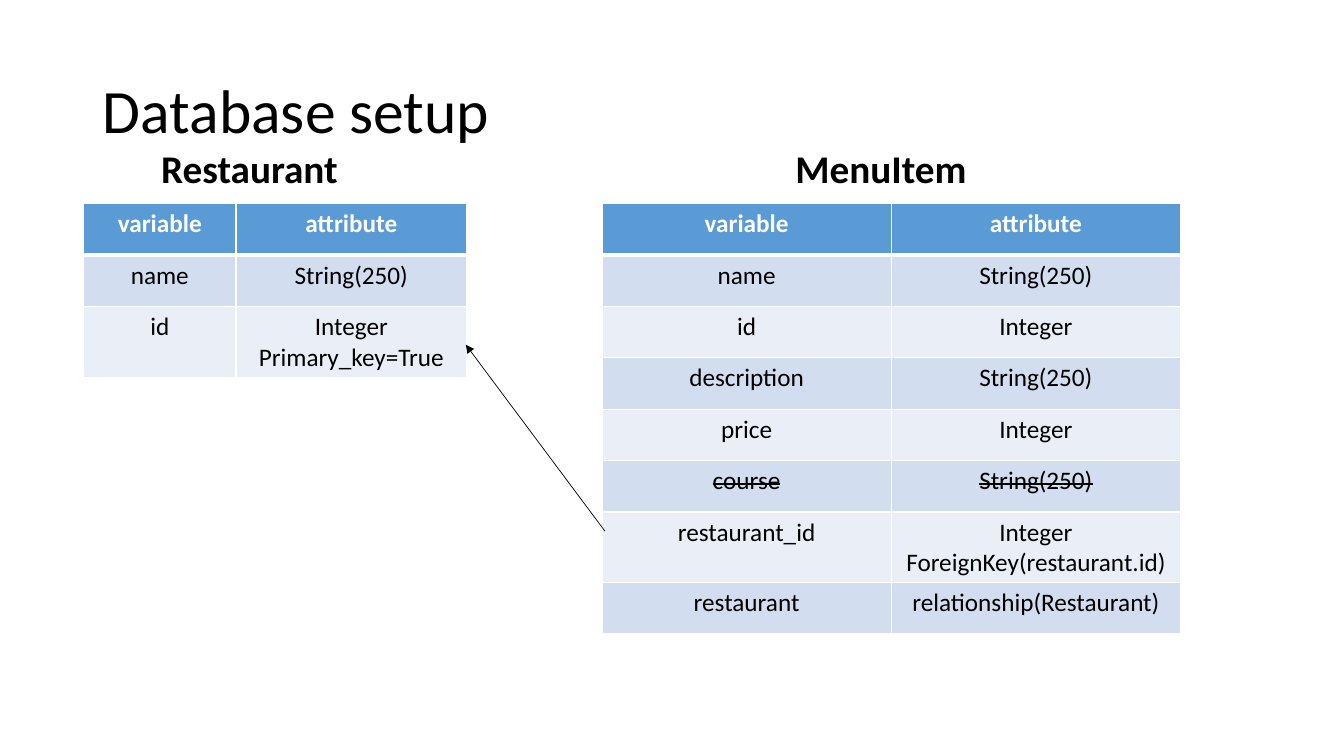
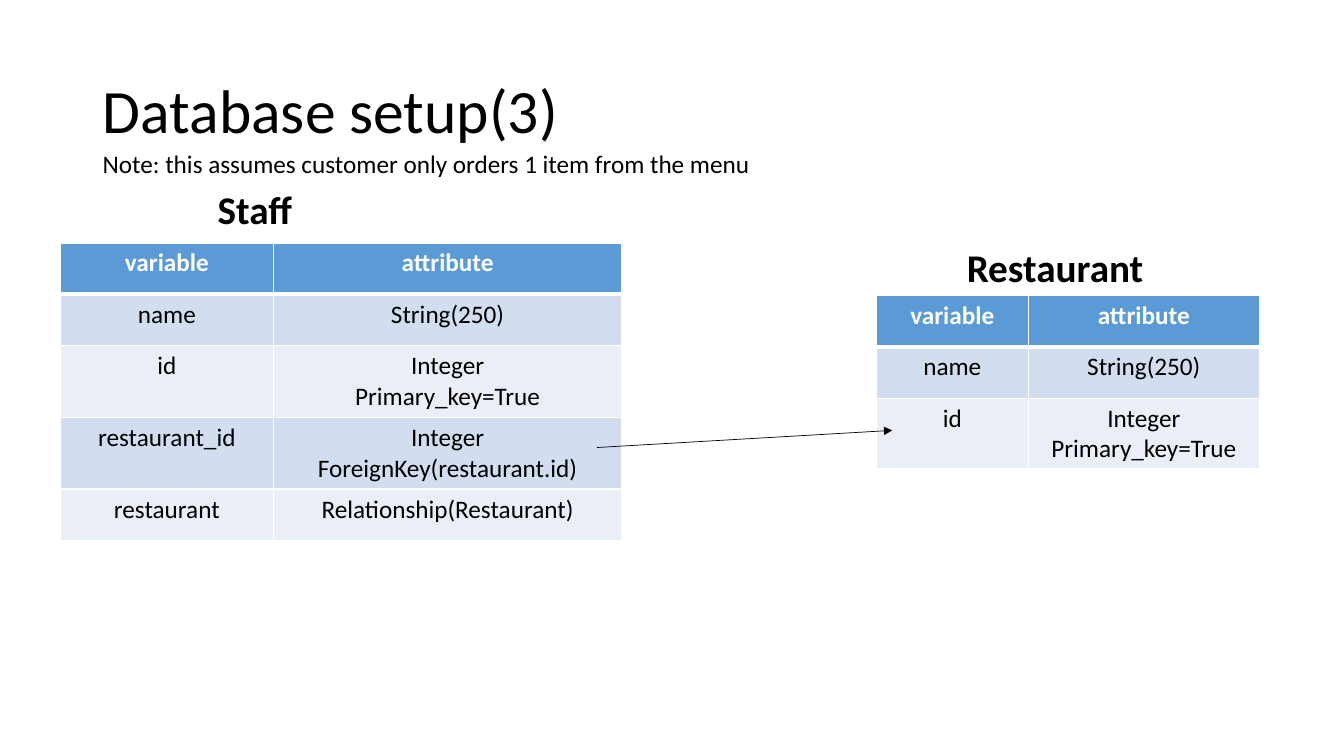
from dataclasses import dataclass
from typing import Any

from lxml import etree
from pptx import Presentation
from pptx import util as u
from pptx.dml.color import RGBColor
from pptx.enum import shapes, text
from pptx.oxml import ns


# Theme and records
@dataclass(frozen=True)
class Theme:
    font: str = "Calibri"
    ink: str = "000000"
    paper: str = "FFFFFF"
    header: str = "5B9BD5"
    bands: tuple[str, str] = ("D2DEEF", "EAEFF7")
    title_size: int = 44
    heading_size: int = 28
    body_size: int = 18
    row_height: float = 0.51
    tall_row_height: float = 0.7
    border: float = 1
    header_border: float = 3
    arrow_width: float = 0.5


@dataclass(frozen=True)
class Label:
    words: str
    left: float
    top: float
    width: float = 1.98
    height: float = 0.57
    size: int = 28
    bold: bool = True


@dataclass(frozen=True)
class Field:
    variable: str
    attribute: str
    struck: bool = False


@dataclass(frozen=True)
class Entity:
    heading: Label
    left: float
    top: float
    columns: tuple[float, float]
    fields: tuple[Field, ...]


@dataclass(frozen=True)
class Arrow:
    start: tuple[float, float]
    end: tuple[float, float]


@dataclass(frozen=True)
class Page:
    title: str
    entities: tuple[Entity, ...]
    arrow: Arrow
    notes: tuple[Label, ...] = ()


THEME = Theme()
HEADER = Field("variable", "attribute")
NAME = Field("name", "String(250)")
KEY = Field("id", "Integer\nPrimary_key=True")
RESTAURANT_KEY = Field("restaurant_id", "Integer\nForeignKey(restaurant.id)")


def restaurant(heading: Label, left: float, top: float) -> Entity:
    return Entity(heading, left, top, (1.51, 2.29), (NAME, KEY))


# Content
PAGES = (
    Page(
        "Database setup",
        (
            restaurant(Label("Restaurant", 1.5, 1.38), 0.83, 2.02),
            Entity(
                Label("MenuItem", 7.79, 1.38), 5.97, 2.02, (2.87, 2.87),
                (
                    NAME,
                    Field("id", "Integer"),
                    Field("description", "String(250)"),
                    Field("price", "Integer"),
                    Field("course", "String(250)", struck=True),
                    RESTAURANT_KEY,
                    Field("restaurant", "relationship(Restaurant)"),
                ),
            ),
        ),
        Arrow((6, 5.27), (4.62, 3.42)),
    ),
    Page(
        "Database setup(3)",
        (
            Entity(
                Label("Staff", 2.06, 1.79), 0.6, 2.41, (2.11, 3.46),
                (
                    NAME,
                    KEY,
                    RESTAURANT_KEY,
                    Field("restaurant", "Relationship(Restaurant)"),
                ),
            ),
            restaurant(Label("Restaurant", 9.49, 2.36), 8.69, 2.93),
        ),
        Arrow((5.92, 4.44), (8.85, 4.27)),
        (
            Label(
                "Note: this assumes customer only orders 1 item from the menu",
                0.92, 1.42, 6.79, 0.4, THEME.body_size, False,
            ),
        ),
    ),
)


# Drawing functions
def style(paragraph: Any, size: int, color: str, bold: bool = False) -> None:
    font = paragraph.font
    font.name, font.size, font.bold = THEME.font, u.Pt(size), bold
    font.color.rgb = RGBColor.from_string(color)


def draw_title(slide: Any, words: str) -> None:
    title = slide.shapes.title
    title.text_frame.text = words
    title.text_frame.vertical_anchor = text.MSO_ANCHOR.MIDDLE
    paragraph = title.text_frame.paragraphs[0]
    paragraph.alignment = text.PP_ALIGN.LEFT
    paragraph.line_spacing = 0.9
    style(paragraph, THEME.title_size, THEME.ink)


def draw_label(slide: Any, label: Label) -> None:
    box = slide.shapes.add_textbox(
        *map(u.Inches, (label.left, label.top, label.width, label.height)))
    frame = box.text_frame
    frame.word_wrap = True
    frame.auto_size = text.MSO_AUTO_SIZE.SHAPE_TO_FIT_TEXT
    frame.text = label.words
    style(frame.paragraphs[0], label.size, THEME.ink, label.bold)


def draw_borders(cell: Any, row: int) -> None:
    top = THEME.header_border if row == 1 else THEME.border
    bottom = THEME.header_border if row == 0 else THEME.border
    widths = {"L": THEME.border, "R": THEME.border, "T": top, "B": bottom}
    properties = cell._tc.get_or_add_tcPr()
    for side, width in widths.items():
        line = etree.SubElement(
            properties, ns.qn(f"a:ln{side}"), w=str(u.Pt(width)))
        fill = etree.SubElement(line, ns.qn("a:solidFill"))
        etree.SubElement(fill, ns.qn("a:srgbClr"), val=THEME.paper)


def draw_cell(cell: Any, words: str, row: int, struck: bool) -> None:
    is_header = row == 0
    draw_borders(cell, row)
    cell.fill.solid()
    cell.fill.fore_color.rgb = RGBColor.from_string(
        THEME.header if is_header else THEME.bands[(row - 1) % 2])
    cell.text = words
    for paragraph in cell.text_frame.paragraphs:
        paragraph.alignment = text.PP_ALIGN.CENTER
        style(paragraph, THEME.body_size,
              THEME.paper if is_header else THEME.ink, is_header)
        if struck:
            for run in paragraph.runs:
                run._r.get_or_add_rPr().set("strike", "sngStrike")


def draw_entity(slide: Any, entity: Entity) -> None:
    fields = (HEADER, *entity.fields)
    heights = [THEME.tall_row_height if "\n" in field.attribute
               else THEME.row_height for field in fields]
    table = slide.shapes.add_table(
        len(fields), len(entity.columns),
        *map(u.Inches, (entity.left, entity.top,
                        sum(entity.columns), sum(heights)))).table
    for column, width in zip(table.columns, entity.columns):
        column.width = u.Inches(width)
    for index, (field, height) in enumerate(zip(fields, heights)):
        table.rows[index].height = u.Inches(height)
        for column, words in enumerate((field.variable, field.attribute)):
            draw_cell(table.cell(index, column), words, index, field.struck)
    draw_label(slide, entity.heading)


def draw_arrow(slide: Any, arrow: Arrow) -> None:
    connector = slide.shapes.add_connector(
        shapes.MSO_CONNECTOR.STRAIGHT,
        *map(u.Inches, (*arrow.start, *arrow.end)))
    connector.line.width = u.Pt(THEME.arrow_width)
    connector.line.color.rgb = RGBColor.from_string(THEME.ink)
    etree.SubElement(connector.line._get_or_add_ln(), ns.qn("a:tailEnd"),
                     type="triangle")
    etree.SubElement(connector._element.spPr, ns.qn("a:effectLst"))


# Build the presentation
presentation = Presentation()
presentation.slide_width = u.Inches(13.33)
presentation.slide_height = u.Inches(7.5)

# The title's place is shared through the layout
layout = presentation.slide_layouts.get_by_name("Title Only")
layout_title = layout.placeholders[0]
layout_title.left, layout_title.top = u.Inches(0.92), u.Inches(0.4)
layout_title.width, layout_title.height = u.Inches(11.5), u.Inches(1.45)

for page in PAGES:
    slide = presentation.slides.add_slide(layout)
    draw_title(slide, page.title)
    for entity in page.entities:
        draw_entity(slide, entity)
    draw_arrow(slide, page.arrow)
    for note in page.notes:
        draw_label(slide, note)

presentation.save("out.pptx")
